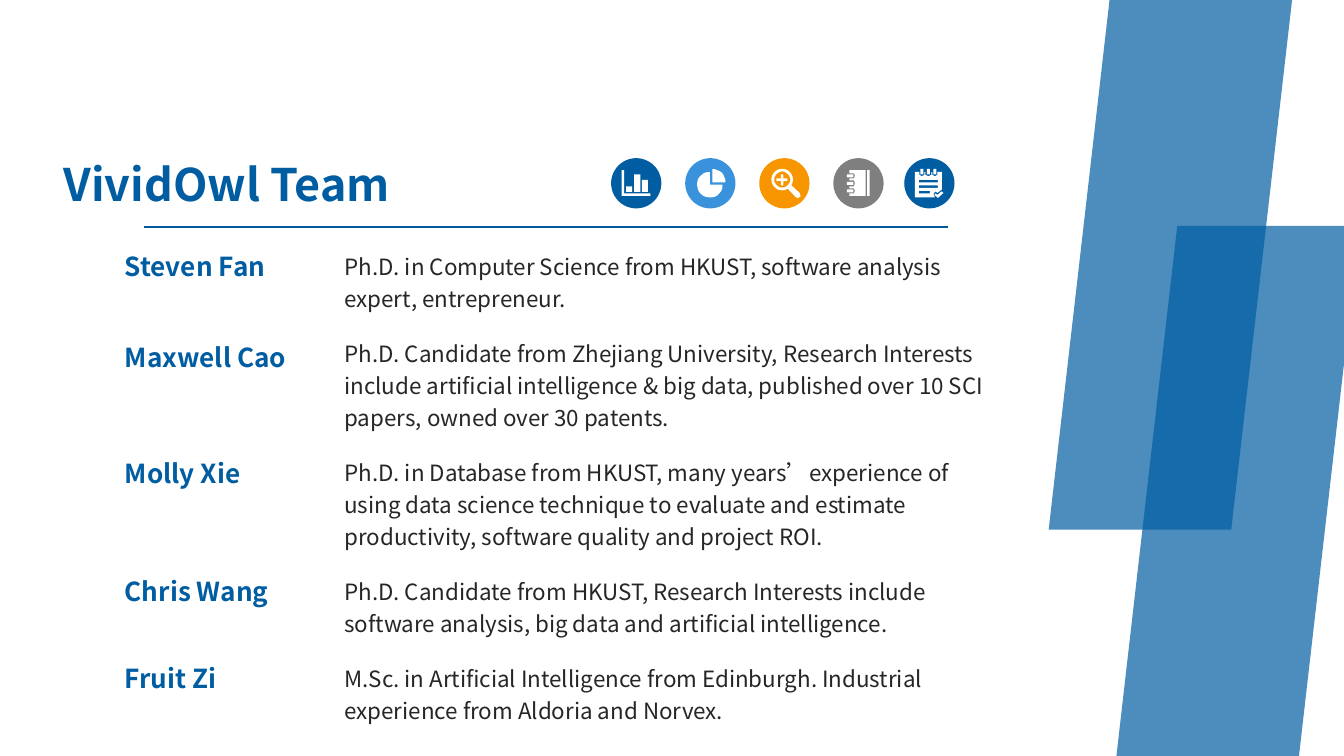
import math

import pptx
import pptx.util
import pptx.dml.color
import pptx.enum.shapes
import pptx.enum.text
import pptx.oxml.ns
from lxml import etree

Cm = pptx.util.Cm
Pt = pptx.util.Pt
SHAPE = pptx.enum.shapes.MSO_SHAPE
ANCHOR = pptx.enum.text.MSO_ANCHOR
FONT = "Noto Sans CJK SC"
COLORS = {
    "blue": "005DA2",
    "rule": "005B9E",
    "sky": "3992DB",
    "orange": "F79600",
    "gray": "7F7F7F",
    "white": "FFFFFF",
    "text": "262626",
}

# Name, top of the name in cm, biography
MEMBERS = [
    ("Steven Fan", 4.6, "Ph.D. in Computer Science from HKUST, software analysis "
     "expert, entrepreneur."),
    ("Maxwell Cao", 6.32, "Ph.D. Candidate from Zhejiang University, Research Interests "
     "include artificial intelligence & big data, published over 10 SCI papers, "
     "owned over 30 patents."),
    ("Molly Xie", 8.53, "Ph.D. in Database from HKUST, many years’experience of using "
     "data science technique to evaluate and estimate productivity, software quality "
     "and project ROI."),
    ("Chris Wang", 10.75, "Ph.D. Candidate from HKUST, Research Interests include "
     "software analysis, big data and artificial intelligence."),
    ("Fruit Zi", 12.4, "M.Sc. in Artificial Intelligence from Edinburgh. Industrial "
     "experience from Aldoria and Norvex."),
]


def color(name):
    return pptx.dml.color.RGBColor.from_string(COLORS[name])


def paint(shape, fill):
    shape.shadow.inherit = False
    shape.fill.solid()
    shape.fill.fore_color.rgb = color(fill)
    shape.line.fill.background()


def add_text(page, left, top, width, height, texts, size, ink, bold=False, wrap=True):
    """Add a text box with one paragraph per text and return its frame."""
    box = page.shapes.add_textbox(Cm(left), Cm(top), Cm(width), Cm(height))
    frame = box.text_frame
    frame.word_wrap = wrap
    for index, text in enumerate(texts):
        para = frame.paragraphs[0] if index == 0 else frame.add_paragraph()
        para.text = text
        para.font.name = FONT
        para.font.size = Pt(size)
        para.font.bold = bold
        para.font.color.rgb = color(ink)
    return frame


def add_stripe(page, left, top, width, height):
    stripe = page.shapes.add_shape(SHAPE.PARALLELOGRAM, Cm(left), Cm(top), Cm(width), Cm(height))
    paint(stripe, "blue")
    tint = stripe.fill._xPr.find(".//" + pptx.oxml.ns.qn("a:srgbClr"))
    etree.SubElement(tint, pptx.oxml.ns.qn("a:alpha"), val="70000")


def add_rule(page, left, top, width):
    rule = page.shapes.add_connector(
        pptx.enum.shapes.MSO_CONNECTOR.STRAIGHT, Cm(left), Cm(top), Cm(left + width), Cm(top))
    rule.line.color.rgb = color("rule")
    rule.line.width = Pt(0.75)
    etree.SubElement(rule._element.spPr, pptx.oxml.ns.qn("a:effectLst"))


# Icon outlines are lists of contours, in percent of the badge's diameter.

def bar(x, y, width, height):
    return [(x, y), (x + width, y), (x + width, y + height), (x, y + height)]


def arc(x, y, radius, start=0, end=360, steps=20):
    angles = [math.radians(start + (end - start) * i / steps) for i in range(steps + 1)]
    return [(x + radius * math.cos(a), y + radius * math.sin(a)) for a in angles]


def hole(contour):
    return contour[::-1]


def chart_icon():
    axes = [(21, 24), (26, 24), (26, 70), (78, 70), (78, 75), (21, 75)]
    columns = [bar(x, top, 12, 67 - top) for x, top in ((30, 56), (46, 32), (61, 43))]
    return [axes] + columns


def pie_icon():
    return [[(49, 53)] + arc(49, 53, 25.5, 0, 270), [(54, 48)] + arc(54, 48, 26.5, -90, 0, 8)]


def magnifier_icon():
    x, y, near, far = 45.5, 42.5, 2.5, 11
    corners = [(-near, -far), (near, -far), (near, -near), (far, -near), (far, near),
               (near, near), (near, far), (-near, far), (-near, near), (-far, near),
               (-far, -near), (-near, -near)]
    plus = [(x + dx, y + dy) for dx, dy in corners]
    handle = [(64, 54), (81, 70), (82, 76), (77, 79), (73, 78), (57, 61)]
    return [arc(x, y, 21.5), hole(arc(x, y, 16)), plus, handle]


def notebook_icon():
    rows = (35, 50, 65)
    sheet = [(32, 75), (32, 24), (64, 24), (64, 75)]
    notches = [point for y in rows for point in
               ((32, y - 5.5), (41, y - 5.5), (43, y), (41, y + 5.5), (32, y + 5.5))]
    outline = sheet[1:] + sheet[:1] + hole(notches)
    return [outline, bar(67, 24, 5, 51)] + [bar(27, y - 3, 13, 6) for y in rows]


def checklist_icon():
    columns = (35, 48, 61)
    notches = [point for x in columns for point in
               ((x - 5.5, 27), (x - 5.5, 33), (x, 36), (x + 5.5, 33), (x + 5.5, 27))]
    corner = [(75, 62), (66, 69), (62, 66), (58, 71), (61, 78)]
    outline = [(21, 27)] + notches + [(75, 27)] + corner + [(21, 78)]
    lines = [hole(bar(29, y, width, 5)) for y, width in ((43, 38), (54, 38), (65, 22))]
    check = [(60, 73), (62, 70), (66, 73), (74, 66), (78, 69), (67, 79)]
    return [outline, check] + lines + [bar(x - 3, 21, 6, 11) for x in columns]


def add_badge(page, left, top, size, fill, contours):
    """Add a disc with a white icon cut as one outline."""
    group = page.shapes.add_group_shape()
    disc = group.shapes.add_shape(SHAPE.OVAL, Cm(left), Cm(top), Cm(size), Cm(size))
    paint(disc, fill)
    builder = group.shapes.build_freeform(*contours[0][0], scale=Cm(size) / 100)
    for index, contour in enumerate(contours):
        if index:
            builder.move_to(*contour[0])
        builder.add_line_segments(contour[1:])
    paint(builder.convert_to_shape(Cm(left), Cm(top)), "white")


def add_badges(page, left, top, size):
    badges = [
        (0, "blue", chart_icon()),
        (1.4, "sky", pie_icon()),
        (2.8, "orange", magnifier_icon()),
        (4.2, "gray", notebook_icon()),
        (5.54, "blue", checklist_icon()),
    ]
    for offset, fill, contours in badges:
        add_badge(page, left + offset, top, size, fill, contours)


def add_team(page, left, top, width, height):
    """Place the names in a left column and the biographies in a right one."""
    indent = 4.15
    bios = add_text(page, left + indent, top, width - indent, height,
                    [bio for _, _, bio in MEMBERS], 12, "text")
    for para in bios.paragraphs:
        para.line_spacing = 1.2
        para.space_after = Pt(12)
    for name, name_top, _ in MEMBERS:
        add_text(page, left, name_top, 3.7, 0.86, [name], 14, "blue", bold=True, wrap=False)


def main():
    deck = pptx.Presentation()
    deck.slide_width, deck.slide_height = Cm(25.4), Cm(14.29)
    page = deck.slides.add_slide(deck.slide_layouts[6])
    title = add_text(page, 0.95, 2.77, 7.49, 1.4, ["VividOwl Team"], 24, "blue", bold=True)
    title.vertical_anchor = ANCHOR.MIDDLE
    add_stripe(page, 19.82, 0, 4.6, 10.01)
    add_stripe(page, 21.1, 4.27, 4.6, 10.02)
    add_rule(page, 2.72, 4.29, 15.2)
    add_badges(page, 11.55, 2.99, 0.95)
    add_team(page, 2.11, 4.56, 16.81, 9.3)
    deck.save("out.pptx")


if __name__ == "__main__":
    main()
